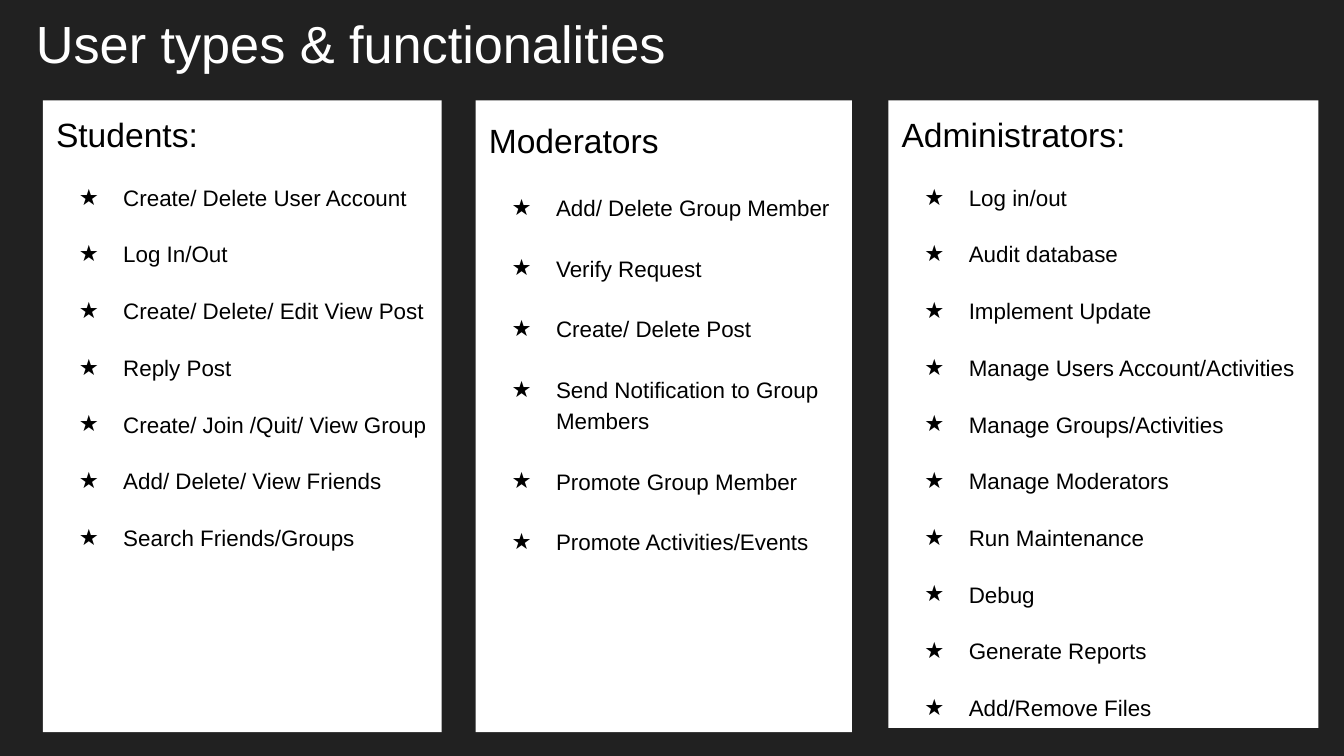
from lxml.etree import SubElement
from pptx import Presentation
from pptx.dml.color import RGBColor
from pptx.enum.shapes import MSO_SHAPE as Shape
from pptx.enum.text import MSO_ANCHOR as Anchor, PP_ALIGN as Align
from pptx.oxml.ns import qn
from pptx.util import Cm, Pt

FONT = "Arial"
DARK, WHITE, BLACK = "212121", "FFFFFF", "000000"
PANEL_TOP = 1.9

# heading, left, width, height, line spacing, functions
USER_TYPES = [
    ("Students:", 0.81, 7.54, 11.94, 1.0, [
        "Create/ Delete User Account", "Log In/Out",
        "Create/ Delete/ Edit View Post", "Reply Post",
        "Create/ Join /Quit/ View Group", "Add/ Delete/ View Friends",
        "Search Friends/Groups"]),
    ("Moderators", 8.99, 7.11, 11.94, 1.15, [
        "Add/ Delete Group Member", "Verify Request", "Create/ Delete Post",
        "Send Notification to Group Members", "Promote Group Member",
        "Promote Activities/Events"]),
    ("Administrators:", 16.79, 8.13, 11.86, 1.0, [
        "Log in/out", "Audit database", "Implement Update",
        "Manage Users Account/Activities", "Manage Groups/Activities",
        "Manage Moderators", "Run Maintenance", "Debug", "Generate Reports",
        "Add/Remove Files"]),
]


def paint(color_format, color):
    """Set a fill, line or font colour from a hex string."""
    color_format.rgb = RGBColor.from_string(color)


def prepare_frame(frame):
    """Wrap text from the top, with even insets."""
    frame.word_wrap = True
    frame.vertical_anchor = Anchor.TOP
    frame.margin_left = frame.margin_right = Cm(0.25)
    frame.margin_top = frame.margin_bottom = Cm(0.25)


def add_text(paragraph, text, size, color):
    """Add one left-aligned run to a paragraph."""
    paragraph.alignment = Align.LEFT
    run = paragraph.add_run()
    run.text = text
    run.font.name, run.font.size = FONT, Pt(size)
    paint(run.font.color, color)


def add_star(paragraph):
    """Give a paragraph a hanging black star bullet."""
    props = paragraph._p.get_or_add_pPr()
    props.set("marL", str(Cm(1.27)))
    props.set("indent", str(Cm(-0.84)))
    color = SubElement(props, qn("a:buClr"))
    SubElement(color, qn("a:srgbClr"), val=BLACK)
    SubElement(props, qn("a:buFont"), typeface=FONT)
    SubElement(props, qn("a:buChar"), char="★")


def add_title(slide, box, text):
    """Place the slide title in the given box."""
    title = slide.shapes.add_textbox(*map(Cm, box)).text_frame
    prepare_frame(title)
    add_text(title.paragraphs[0], text, 28, WHITE)


def add_user_panel(slide, box, heading, functions, spacing):
    """Place a white panel with a heading and its starred functions."""
    panel = slide.shapes.add_shape(Shape.RECTANGLE, *map(Cm, box))
    panel.shadow.inherit = False
    panel.fill.solid()
    paint(panel.fill.fore_color, WHITE)
    panel.line.fill.background()
    frame = panel.text_frame
    prepare_frame(frame)
    add_text(frame.paragraphs[0], heading, 18, BLACK)
    for function in functions:
        entry = frame.add_paragraph()
        add_text(entry, function, 12, BLACK)
    for paragraph in frame.paragraphs:
        paragraph.line_spacing = spacing
        paragraph.space_after = Pt(16)
    for entry in frame.paragraphs[1:]:
        add_star(entry)


def build_user_types(deck):
    """Add the slide comparing the three user types."""
    slide = deck.slides.add_slide(deck.slide_layouts[6])
    background = slide.background.fill
    background.solid()
    paint(background.fore_color, DARK)
    add_title(slide, (0.43, -0.03, 23.67, 1.6), "User types & functionalities")
    for heading, left, width, height, spacing, functions in USER_TYPES:
        box = (left, PANEL_TOP, width, height)
        add_user_panel(slide, box, heading, functions, spacing)


deck = Presentation()
deck.slide_width, deck.slide_height = Cm(25.4), Cm(14.29)
build_user_types(deck)
deck.save("out.pptx")
